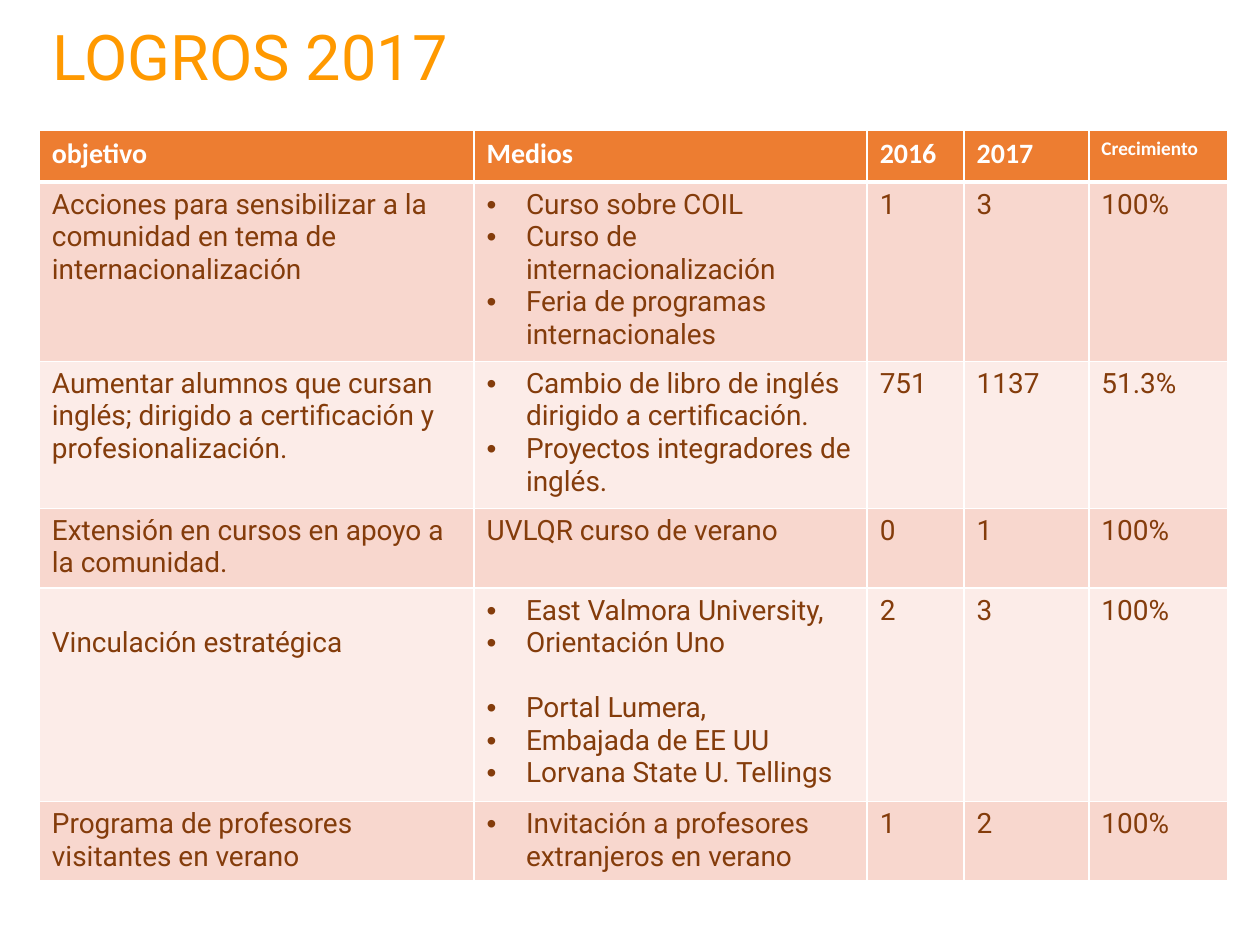
from dataclasses import dataclass

from lxml.etree import SubElement
from pptx import Presentation
from pptx.dml.color import RGBColor
from pptx.enum.text import MSO_ANCHOR as Anchor, MSO_AUTO_SIZE as AutoSize, PP_ALIGN as Align
from pptx.oxml.ns import qn
from pptx.util import Pt

COLORS = {
    "title": "FF9900",
    "header": "ED7D31",
    "odd": "F8D7CE",
    "even": "FCECE8",
    "text": "843C0B",
    "white": "FFFFFF",
}
LINE = 18.6
INDENT = 22.5
MARGIN = 3.6
COLUMN_WIDTHS = [248.4, 224.64, 55.44, 71.28, 79.2]
HEADERS = ["objetivo", "Medios", "2016", "2017", "Crecimiento"]
HEADER_HEIGHT = 29.5


@dataclass
class Means:
    text: str
    bullet: bool = True
    before: float = 0


@dataclass
class Goal:
    name: str
    means: list[Means]
    figures: list[str]
    height: float
    drop: float = 0


GOALS = [
    Goal("Acciones para sensibilizar a la comunidad en tema de internacionalización",
         [Means("Curso sobre COIL"), Means("Curso de internacionalización"),
          Means("Feria de programas internacionales")],
         ["1", "3", "100%"], 102.5),
    Goal("Aumentar alumnos que cursan inglés; dirigido a certificación y profesionalización.",
         [Means("Cambio de libro de inglés dirigido a certificación."),
          Means("Proyectos integradores de inglés.")],
         ["751", "1137", "51.3%"], 84),
    Goal("Extensión en cursos en apoyo a la comunidad.",
         [Means("UVLQR curso de verano", bullet=False)],
         ["0", "1", "100%"], 45.5),
    Goal("Vinculación estratégica",
         [Means("East Valmora University,"), Means("Orientación Uno"),
          Means("Portal Lumera,", before=LINE), Means("Embajada de EE UU"),
          Means("Lorvana State U. Tellings")],
         ["2", "3", "100%"], 122, drop=LINE),
    Goal("Programa de profesores visitantes en verano",
         [Means("Invitación a profesores extranjeros en verano")],
         ["1", "2", "100%"], 45.5),
]


def write(para, text: str, *, size: float = 16, font: str = "Roboto",
          color: str = "text", bold: bool = False, align=Align.LEFT,
          before: float = 0, bullet: bool = False) -> None:
    para.alignment = align
    para.space_before = Pt(before)
    span = para.add_run()
    span.text = text
    span.font.size = Pt(size)
    span.font.name = font
    span.font.bold = bold
    span.font.color.rgb = RGBColor.from_string(COLORS[color])
    if bullet:
        properties = para._p.get_or_add_pPr()
        properties.set("marL", str(Pt(INDENT)))
        properties.set("indent", str(-Pt(INDENT)))
        SubElement(properties, qn("a:buFont"), typeface="Arial")
        SubElement(properties, qn("a:buChar"), char="•")


def style_cell(cell, color: str, top: float = 1, bottom: float = 1) -> None:
    properties = cell._tc.get_or_add_tcPr()
    for side, width in {"L": 1, "R": 1, "T": top, "B": bottom}.items():
        border = SubElement(properties, qn(f"a:ln{side}"), w=str(Pt(width)))
        fill = SubElement(border, qn("a:solidFill"))
        SubElement(fill, qn("a:srgbClr"), val=COLORS["white"])
    cell.fill.solid()
    cell.fill.fore_color.rgb = RGBColor.from_string(COLORS[color])


def add_title(page) -> None:
    box = page.shapes.title
    box.left, box.top, box.width, box.height = Pt(0), Pt(6.5), Pt(286), Pt(51)
    frame = box.text_frame
    frame.word_wrap = True
    frame.auto_size = AutoSize.NONE
    frame.vertical_anchor = Anchor.TOP
    write(frame.paragraphs[0], "LOGROS 2017", size=36, color="title", align=Align.CENTER)


def fill_goal(table, row: int, goal: Goal) -> None:
    table.rows[row].height = Pt(goal.height)
    cells = list(table.rows[row].cells)
    for cell in cells:
        style_cell(cell, "odd" if row % 2 else "even", top=3 if row == 1 else 1)
    cells[0].margin_top = Pt(MARGIN + goal.drop)
    for cell, text in zip([cells[0], *cells[2:]], [goal.name, *goal.figures]):
        write(cell.text_frame.paragraphs[0], text)
    frame = cells[1].text_frame
    for index, item in enumerate(goal.means):
        para = frame.add_paragraph() if index else frame.paragraphs[0]
        write(para, item.text, bullet=item.bullet, before=item.before)


def add_goal_table(page) -> None:
    height = HEADER_HEIGHT + sum(goal.height for goal in GOALS)
    table = page.shapes.add_table(len(GOALS) + 1, len(HEADERS), Pt(22.5), Pt(74.5),
                                  Pt(sum(COLUMN_WIDTHS)), Pt(height)).table
    for column, width in zip(table.columns, COLUMN_WIDTHS):
        column.width = Pt(width)
    table.rows[0].height = Pt(HEADER_HEIGHT)
    for cell, text in zip(table.rows[0].cells, HEADERS):
        style_cell(cell, "header", bottom=3)
        write(cell.text_frame.paragraphs[0], text, font="Calibri", color="white",
              bold=True, size=11 if text == "Crecimiento" else 16)
    for row, goal in enumerate(GOALS, start=1):
        fill_goal(table, row, goal)


def main() -> None:
    deck = Presentation()
    deck.slide_width, deck.slide_height = Pt(720), Pt(540)
    page = deck.slides.add_slide(deck.slide_layouts[5])
    add_title(page)
    add_goal_table(page)
    deck.save("out.pptx")


if __name__ == "__main__":
    main()
